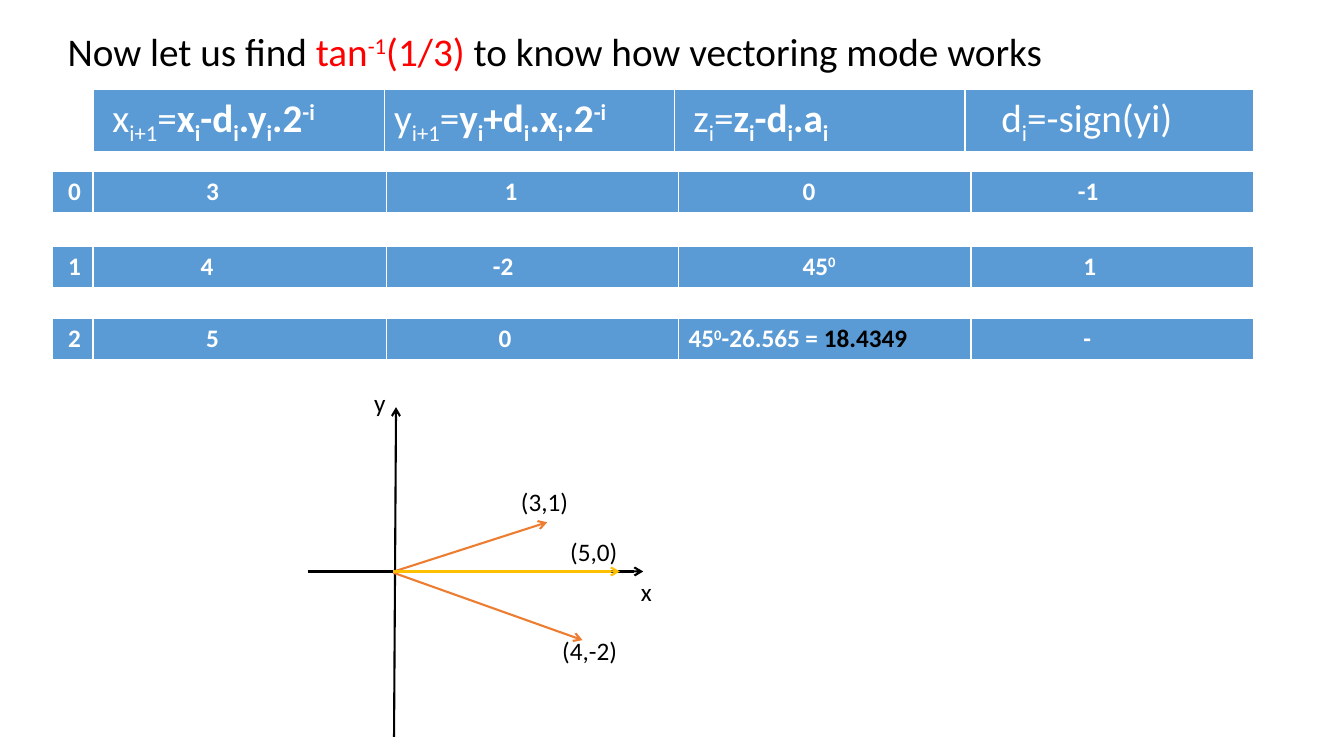
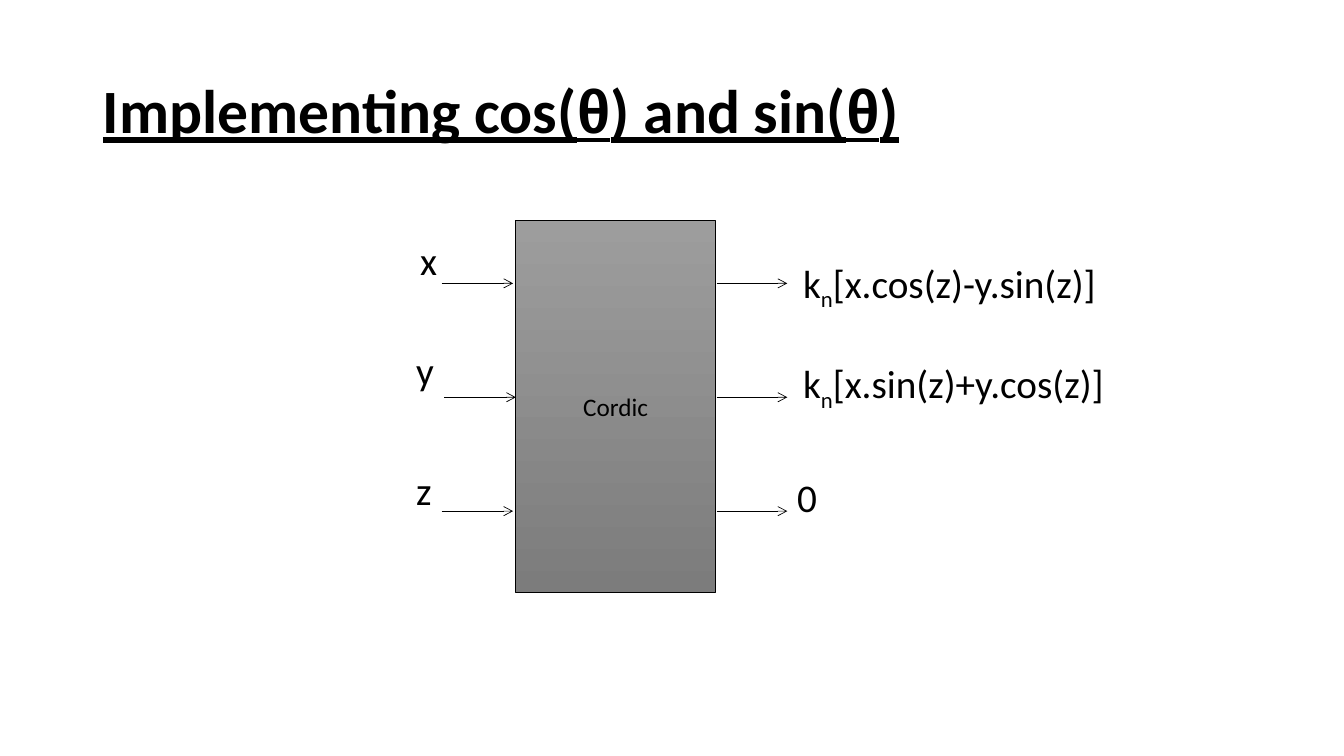
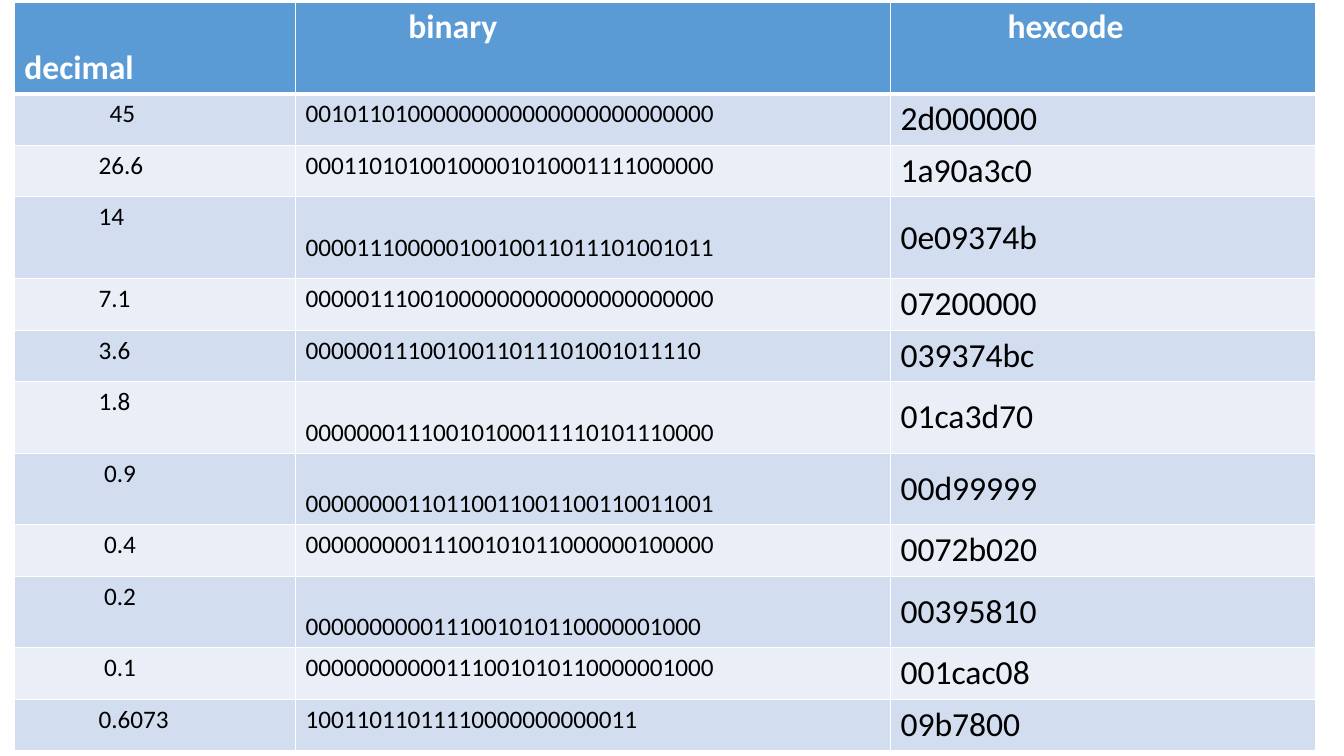
from lxml import etree
from pptx import Presentation
from pptx.dml.color import RGBColor
from pptx.enum.shapes import MSO_CONNECTOR, MSO_SHAPE
from pptx.enum.text import MSO_ANCHOR, MSO_AUTO_SIZE, PP_ALIGN
from pptx.oxml.ns import qn
from pptx.util import Cm, Pt

LINE = MSO_CONNECTOR.STRAIGHT
RECT = MSO_SHAPE.RECTANGLE
LEFT, CENTER = PP_ALIGN.LEFT, PP_ALIGN.CENTER
TOP, MIDDLE, BOTTOM = MSO_ANCHOR.TOP, MSO_ANCHOR.MIDDLE, MSO_ANCHOR.BOTTOM
NO_FIT = MSO_AUTO_SIZE.NONE

COLORS = {
    "black": "000000", "white": "FFFFFF", "red": "FF0000",
    "blue": "5B9BD5", "band": "D2DEEF", "pale": "EAEFF7",
    "orange": "ED7D31", "gold": "FFC000", "light": "9D9D9D", "dark": "7C7C7C",
}
FONT, GREEK = "Calibri", "Arial"

HEADS = [("x_i+1_=*x_i_-d_i_.y_i_.2^-i^", 0.22), ("y_i+1_=*y_i_+d_i_.x_i_.2^-i^", 0),
         ("z_i_=*z_i_-d_i_.a_i_", 0.22), ("d_i_=-sign(yi)", 0.66)]
STEPS = [
    (4.32, [("3", 2.58), ("1", 2.73), ("0", 2.87), ("-1", 2.44)]),
    (6.2, [("4", 2.44), ("-2", 2.44), ("45^0^", 2.87), ("1", 2.58)]),
    (8.03, [("5", 2.58), ("0", 2.58), ("45^0^-26.565 = ~18.4349~", 0), ("-", 2.58)]),
]
VECTORS = [
    (7.75, 14.4, 16.21, 14.4, "black"), (9.93, 18.57, 9.98, 10.26, "black"),
    (9.93, 14.4, 13.79, 13.16, "orange"), (9.91, 14.43, 14.68, 16.13, "orange"),
    (9.91, 14.4, 15.62, 14.4, "gold"),
]
LABELS = [
    ("y", 7.75, 9.63, 2.62, 1.43), ("x", 15.9, 14.4, 2.06, 0), ("(3,1)", 12.88, 12.14, 1.8, 0),
    ("(4,-2)", 13.92, 15.88, 2.29, 0), ("(5,0)", 14.12, 13.39, 2.08, 0),
]
INPUTS = [("x", 10.34, 5.82), ("y", 10.24, 8.59), ("z", 10.24, 11.63)]
OUTPUTS = [("k_n_[x.cos(z)-y.sin(z)]", 19.99, 6.4), ("k_n_[x.sin(z)+y.cos(z)]", 19.99, 8.94),
           ("0", 19.84, 11.79)]
CODES = [
    ("45", 2.15, "00101101000000000000000000000000", "2d000000", 1.3),
    ("26.6", 1.87, "00011010100100001010001111000000", "1a90a3c0", 1.3),
    ("14", 1.87, "00001110000010010011011101001011", "0e09374b", 2.06),
    ("7.1", 1.87, "00000111001000000000000000000000", "07200000", 1.3),
    ("3.6", 1.87, "0000001110010011011101001011110", "039374bc", 1.3),
    ("1.8", 1.87, "00000001110010100011110101110000", "01ca3d70", 1.8),
    ("0.9", 2.01, "00000000110110011001100110011001", "00d99999", 1.8),
    ("0.4", 2.01, "00000000011100101011000000100000", "0072b020", 1.3),
    ("0.2", 2.01, "0000000000111001010110000001000", "00395810", 1.8),
    ("0.1", 2.01, "00000000000111001010110000001000", "001cac08", 1.3),
    ("0.6073", 1.87, "10011011011110000000000011", "09b7800", 1.3),
]


def rgb(name):
    """Return the named colour."""
    return RGBColor.from_string(COLORS[name])


def pieces(text):
    """Split text at its toggles: _ sub, ^ super, * bold, ~ accent, | Greek."""
    state, piece = dict.fromkeys("_^*~|", False), ""
    for char in text:
        if char not in state:
            piece += char
            continue
        if piece:
            yield piece, dict(state)
        piece, state[char] = "", not state[char]
    if piece:
        yield piece, state


def write(frame, text, size=18, color="black", accent="red", bold=False, under=False,
          align=LEFT, indent=0, spacing=None):
    """Write marked text as the one paragraph of a frame."""
    para = frame.paragraphs[0]
    para.alignment = align
    para.line_spacing = spacing
    props = para._p.get_or_add_pPr()
    props.set("marL", str(Cm(indent)))
    props.set("indent", "0")
    etree.SubElement(props, qn("a:buNone"))
    for piece, state in pieces(text):
        run = para.add_run()
        run.text = piece
        font = run.font
        font.name = GREEK if state["|"] else FONT
        font.size = Pt(size)
        font.bold = bold or state["*"]
        font.underline = under
        font.color.rgb = rgb(accent if state["~"] else color)
        if state["_"] or state["^"]:
            run._r.get_or_add_rPr().set("baseline", "-25000" if state["_"] else "30000")


def place(shape, left, top, width, height):
    """Move and size a shape."""
    shape.left, shape.top = Cm(left), Cm(top)
    shape.width, shape.height = Cm(width), Cm(height)


def label(slide, text, left, top, width, height, **form):
    """Add a text box."""
    box = slide.shapes.add_textbox(Cm(left), Cm(top), Cm(width), Cm(height))
    box.text_frame.word_wrap = True
    write(box.text_frame, text, **form)


def arrow(slide, left, top, right, bottom, color="black", width=0.5):
    """Add a straight arrow."""
    link = slide.shapes.add_connector(LINE, Cm(left), Cm(top), Cm(right), Cm(bottom))
    link.line.color.rgb = rgb(color)
    link.line.width = Pt(width)
    etree.SubElement(link.line._get_or_add_ln(), qn("a:tailEnd"), type="arrow")
    etree.SubElement(link._element.spPr, qn("a:effectLst"))


def grid(slide, left, top, cols, rows):
    """Add a table with the given column widths and row heights."""
    frame = slide.shapes.add_table(len(rows), len(cols), Cm(left), Cm(top),
                                   Cm(sum(cols)), Cm(sum(rows)))
    table = frame.table
    for col, width in zip(table.columns, cols):
        col.width = Cm(width)
    for row, height in zip(table.rows, rows):
        row.height = Cm(height)
    return table


def fill(cell, text, back="blue", base=1, anchor=TOP, **form):
    """Give a cell its text, white borders and fill."""
    props = cell._tc.get_or_add_tcPr()
    for side, width in (("L", 1), ("R", 1), ("T", 1), ("B", base)):
        edge = etree.SubElement(props, qn("a:ln" + side), w=str(Pt(width)))
        paint = etree.SubElement(edge, qn("a:solidFill"))
        etree.SubElement(paint, qn("a:srgbClr"), val=COLORS["white"])
    cell.fill.solid()
    cell.fill.fore_color.rgb = rgb(back)
    cell.vertical_anchor = anchor
    write(cell.text_frame, text, **form)


def strip(slide, left, top, cols, height, items, **form):
    """Add a one-row blue table of texts and indents."""
    table = grid(slide, left, top, cols, [height])
    for cell, (text, indent) in zip(table.rows[0].cells, items):
        fill(cell, text, base=3, color="white", accent="black", indent=indent, **form)


def vectoring(deck):
    """Build the slide on vectoring mode."""
    slide = deck.slides.add_slide(deck.slide_layouts[1])
    title, body = slide.placeholders
    title._element.getparent().remove(title._element)
    place(body, 1.45, 0.69, 29.21, 12.09)
    body.text_frame.auto_size = NO_FIT
    write(body.text_frame, "Now let us find ~tan^-1^(1/3)~ to know how vectoring mode works",
          size=28, spacing=0.9)
    strip(slide, 2.36, 2.26, [7.32, 7.32, 7.32, 7.26], 1.45, HEADS, size=28)
    for step, (top, items) in enumerate(STEPS):
        strip(slide, 2.36, top, [7.37, 7.37, 7.37, 7.11], 1.07, items, bold=True)
        strip(slide, 1.32, top, [1.02], 1.07, [(str(step), 0.14)], bold=True)
    for vector in VECTORS:
        arrow(slide, *vector, width=1.5)
    for text, left, top, width, indent in LABELS:
        label(slide, text, left, top, width, 1.02, indent=indent)


def cordic(deck):
    """Build the block diagram slide."""
    slide = deck.slides.add_slide(deck.slide_layouts[5])
    title = slide.shapes.title
    place(title, 2.34, 1.02, 29.21, 3.68)
    title.text_frame.auto_size = NO_FIT
    title.text_frame.vertical_anchor = MIDDLE
    write(title.text_frame, "Implementing cos(|θ|) and sin(|θ|)", size=44, bold=True,
          under=True, spacing=0.9)
    block = slide.shapes.add_shape(RECT, Cm(13), Cm(5.56), Cm(5.03), Cm(9.37))
    block.shadow.inherit = False
    block.fill.gradient()
    block.fill.gradient_angle = 270
    for stop, color in zip(block.fill.gradient_stops, ("light", "dark")):
        stop.color.rgb = rgb(color)
    block.line.color.rgb = rgb("black")
    block.line.width = Pt(0.5)
    block.text_frame.vertical_anchor = MIDDLE
    write(block.text_frame, "Cordic", align=CENTER)
    for row, start in enumerate((11.13, 11.2, 11.13)):
        level = 7.14 + 2.87 * row
        arrow(slide, start, level, start + 1.8, level)
        arrow(slide, 18.06, level, 19.84, level)
    for text, left, top in INPUTS:
        label(slide, text, left, top, 0.89, 2.21, size=28)
    for text, left, top in OUTPUTS:
        label(slide, text, left, top, 9.6, 1.45, size=28)


def codes(deck):
    """Build the table of angle codes."""
    slide = deck.slides.add_slide(deck.slide_layouts[6])
    heights = [2.31] + [code[-1] for code in CODES]
    table = grid(slide, 0.36, 0.05, [7.09, 14.99, 10.72], heights)
    heads = [("decimal", 0, BOTTOM), ("binary", 2.59, TOP), ("hexcode", 2.7, TOP)]
    for cell, (text, indent, anchor) in zip(table.rows[0].cells, heads):
        fill(cell, text, base=3, anchor=anchor, size=24, color="white", bold=True,
             indent=indent)
    for row, (angle, indent, bits, code, height) in enumerate(CODES, 1):
        back = "band" if row % 2 else "pale"
        first, second, third = table.rows[row].cells
        fill(first, angle, back, indent=indent)
        fill(second, bits, back)
        if height > 1.3:
            second.margin_top = Cm(0.89)
        fill(third, code, back, anchor=MIDDLE, size=24)


def main():
    """Build and save the deck."""
    deck = Presentation()
    deck.slide_width, deck.slide_height = Cm(33.87), Cm(19.05)
    vectoring(deck)
    cordic(deck)
    codes(deck)
    deck.save("out.pptx")


main()
